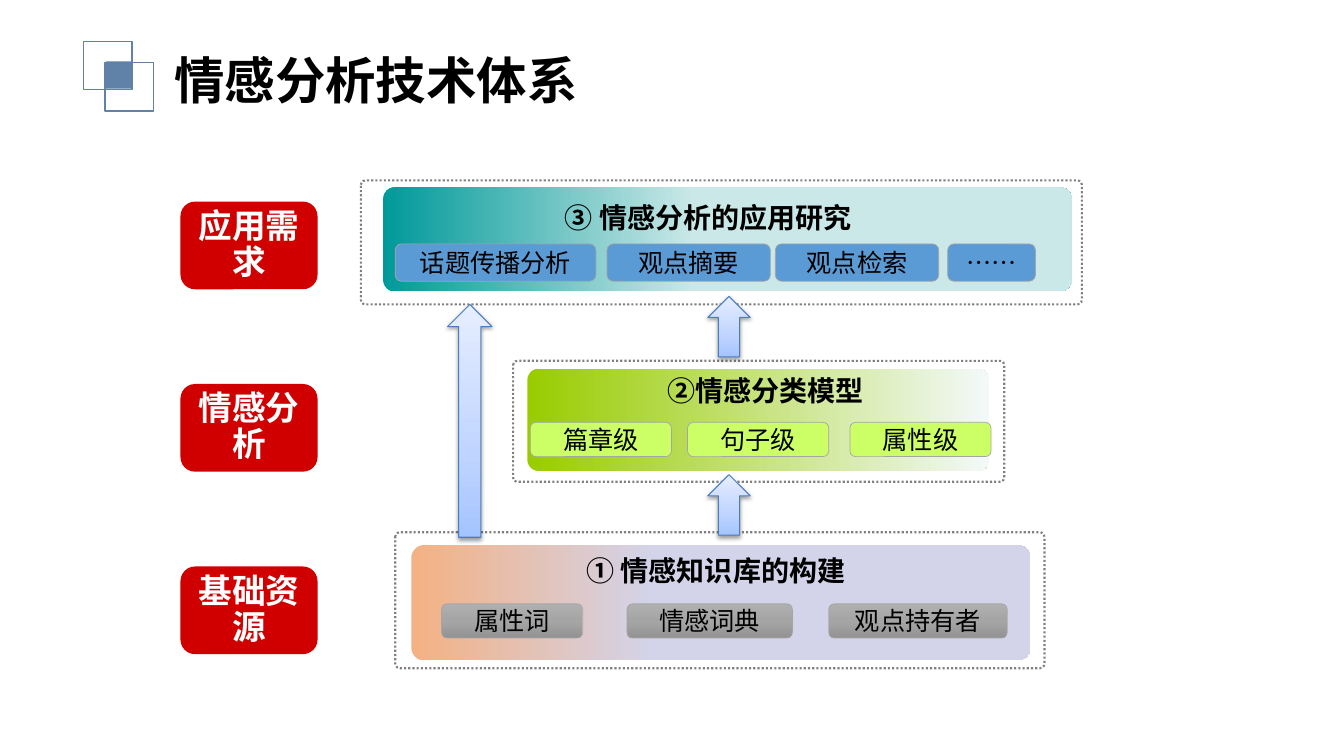
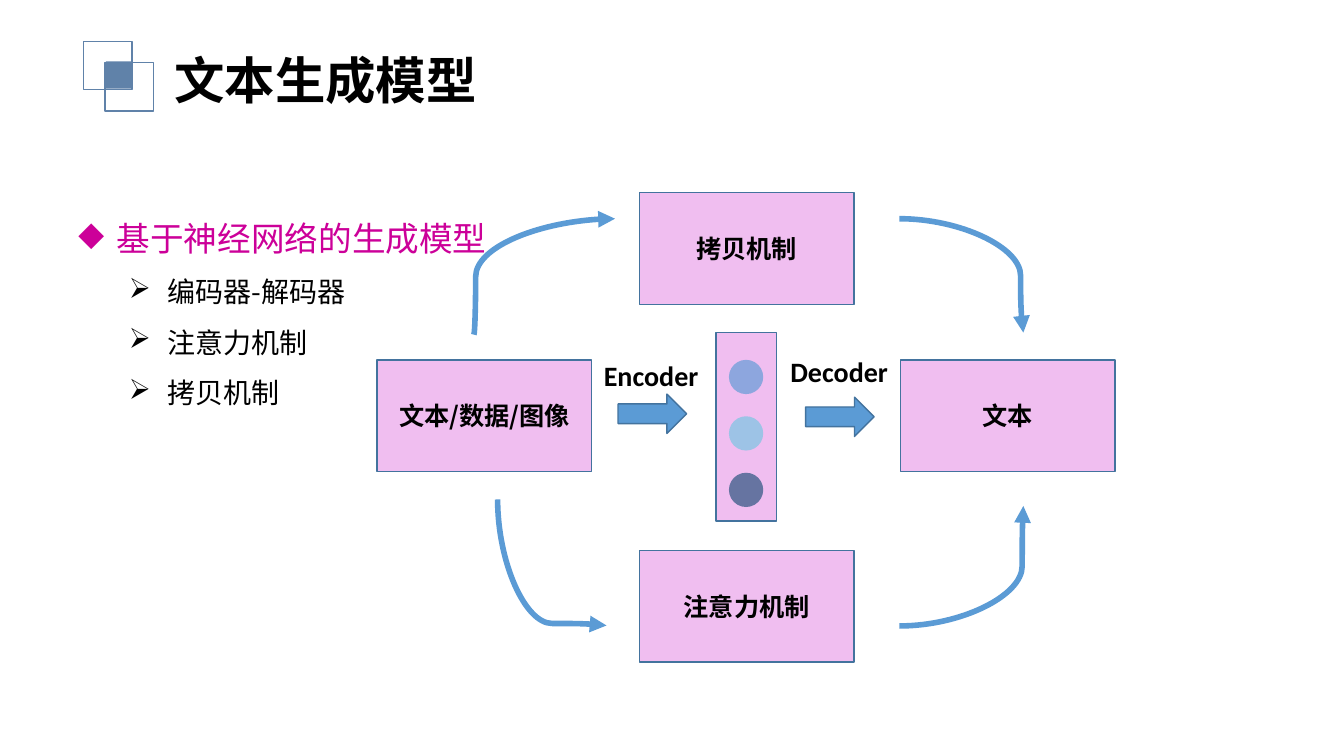
from typing import NamedTuple, Optional, Union

from lxml.etree import SubElement
from pptx import Presentation
from pptx.dml.color import RGBColor
from pptx.enum.dml import MSO_LINE
from pptx.enum.shapes import MSO_CONNECTOR, MSO_SHAPE
from pptx.enum.text import MSO_ANCHOR, PP_ALIGN
from pptx.oxml.ns import qn
from pptx.util import Inches, Pt

# Shared style
CJK = "Noto Sans CJK SC"
BLACK, WHITE, MARK = "000000", "FFFFFF", "6082A9"
RED, BLUE, EDGE, GRAY = "D00000", "5B9BD5", "43739E", "A5A5A5"
PINK, ROSE = "E488E4", "CC0099"


class Grad(NamedTuple):
    stops: tuple[tuple[int, str], ...]
    angle: int = 0


class Style(NamedTuple):
    size: float = 18
    color: str = BLACK
    bold: bool = False
    font: str = CJK


class Box(NamedTuple):
    x: float
    y: float
    w: float
    h: float


class Chip(NamedTuple):
    x: float
    w: float
    text: str


class Band(NamedTuple):
    frame: Box
    body: Box
    head: Box
    title: str
    fill: Grad
    paint: Union[str, Grad]
    top: float
    high: float
    chips: tuple[Chip, ...]


class Curve(NamedTuple):
    start: tuple[float, float]
    end: tuple[float, float]
    bend: int
    turn: int = 0


HEAD = Style(20, bold=True)
SKY = Grad(((0, "A4C4FF"), (35, "BFD4FF"), (100, "E6EEFF")), 270)
STEEL = Grad(((0, "AFAFAF"), (50, GRAY), (100, "939393")), 90)

BANDS = (
    Band(Box(3.58, 1.79, 7.15, 1.23), Box(3.8, 1.86, 6.83, 1.03),
         Box(3.44, 1.94, 7.17, 0.44), "③ 情感分析的应用研究",
         Grad(((0, "009999"), (45, "C9E8E7"))), BLUE, 2.42, 0.37,
         (Chip(3.92, 1.99, "话题传播分析"), Chip(6.02, 1.62, "观点摘要"),
          Chip(7.69, 1.62, "观点检索"), Chip(9.4, 0.87, "……"))),
    Band(Box(5.09, 3.58, 4.87, 1.2), Box(5.23, 3.66, 4.58, 1.01),
         Box(5.23, 3.66, 4.73, 0.44), "②情感分类模型",
         Grad(((0, "99CC00"), (100, "F3F9F9"))), "CCFF66", 4.19, 0.34,
         (Chip(5.26, 1.4, "篇章级"), Chip(6.82, 1.4, "句子级"),
          Chip(8.43, 1.4, "属性级"))),
    Band(Box(3.92, 5.28, 6.44, 1.35), Box(4.08, 5.41, 6.14, 1.14),
         Box(3.94, 5.44, 6.32, 0.44), "① 情感知识库的构建",
         Grad(((0, "F4B183"), (39, "D3D3E9"))), STEEL, 5.99, 0.34,
         (Chip(4.38, 1.4, "属性词"), Chip(6.22, 1.64, "情感词典"),
          Chip(8.22, 1.77, "观点持有者"))),
)
RISES = (Box(4.44, 3.02, 0.44, 2.31), Box(7.02, 2.94, 0.42, 0.6),
         Box(7.02, 4.71, 0.42, 0.6))
CURVES = (
    Curve((4.7, 3.32), (6.1, 2.17), 1300),
    Curve((8.92, 2.17), (10.15, 3.3), 97800),
    Curve((6.1, 5.04), (4.85, 6.12), 98400, 270),
    Curve((8.92, 6.21), (10.15, 5.02), 99100),
)


# Helpers
def tint(code: str) -> RGBColor:
    return RGBColor.from_string(code)


def place(box: Box) -> tuple:
    return tuple(Inches(v) for v in box)


def blend(shape, grad: Grad) -> None:
    shape.fill.background()
    props = shape.element.spPr
    blank = props.find(qn("a:noFill"))
    node = props.makeelement(qn("a:gradFill"), {"rotWithShape": "1"})
    stops = SubElement(node, qn("a:gsLst"))
    for pos, code in grad.stops:
        stop = SubElement(stops, qn("a:gs"), pos=str(pos * 1000))
        SubElement(stop, qn("a:srgbClr"), val=code)
    SubElement(node, qn("a:lin"), ang=str(grad.angle * 60000), scaled="0")
    props.replace(blank, node)


def draw(slide, kind, box: Box, fill: Union[str, Grad, None] = None,
         line: Optional[str] = None, width: float = 1,
         alpha: int = 100, curve: Optional[float] = None):
    shape = slide.shapes.add_shape(kind, *place(box))
    shape.shadow.inherit = False
    if curve is not None:
        shape.adjustments[0] = curve
    if fill is None:
        shape.fill.background()
    elif isinstance(fill, Grad):
        blend(shape, fill)
    else:
        shape.fill.solid()
        shape.fill.fore_color.rgb = tint(fill)
        if alpha < 100:
            color = shape.element.spPr.find(qn("a:solidFill"))[0]
            SubElement(color, qn("a:alpha"), val=str(alpha * 1000))
    if line:
        shape.line.color.rgb = tint(line)
        shape.line.width = Pt(width)
    else:
        shape.line.fill.background()
    return shape


def add_run(para, text: str, style: Style) -> None:
    run = para.add_run()
    run.text = text
    run.font.size = Pt(style.size)
    run.font.bold = style.bold
    run.font.color.rgb = tint(style.color)
    run.font.name = style.font
    SubElement(run.font._element, qn("a:ea"), typeface=style.font)


def label(shape, text: str, style: Style) -> None:
    frame = shape.text_frame
    frame.word_wrap = True
    frame.vertical_anchor = MSO_ANCHOR.MIDDLE
    frame.paragraphs[0].alignment = PP_ALIGN.CENTER
    add_run(frame.paragraphs[0], text, style)


def write(slide, box: Box, text: str, style: Style,
          align=PP_ALIGN.LEFT, wrap: bool = True) -> None:
    frame = slide.shapes.add_textbox(*place(box)).text_frame
    frame.word_wrap = wrap
    frame.paragraphs[0].alignment = align
    add_run(frame.paragraphs[0], text, style)


def bullet(para, sign: str, left: float) -> None:
    props = para._p.get_or_add_pPr()
    props.set("marL", str(Inches(left)))
    props.set("indent", str(-Inches(0.38)))
    SubElement(props, qn("a:buChar"), char=sign)
    para.line_spacing = 1.5


def link(slide, curve: Curve) -> None:
    ends = [Inches(v) for v in curve.start + curve.end]
    line = slide.shapes.add_connector(MSO_CONNECTOR.CURVE, *ends)
    line.line.color.rgb = tint(BLUE)
    line.line.width = Pt(4)
    props = line.element.spPr
    SubElement(props.find(qn("a:ln")), qn("a:tailEnd"), type="triangle")
    SubElement(props, qn("a:effectLst"))
    if curve.turn:
        props.find(qn("a:xfrm")).set("rot", str(curve.turn * 60000))
    guides = props.find(qn("a:prstGeom")).find(qn("a:avLst"))
    SubElement(guides, qn("a:gd"), name="adj1", fmla=f"val {curve.bend}")


# Shared parts
def brand(deck, slide) -> None:
    """Draw the corner squares and move them to the master."""
    squares = ((Box(0.83, 0.41, 0.48, 0.48), None, MARK),
               (Box(1.04, 0.62, 0.48, 0.48), None, MARK),
               (Box(1.05, 0.61, 0.25, 0.27), MARK, None))
    for num, (box, fill, line) in enumerate(squares, 101):
        shape = draw(slide, MSO_SHAPE.RECTANGLE, box, fill, line)
        shape.element.nvSpPr.cNvPr.set("id", str(num))
        deck.slide_master.shapes.element.append(shape.element)


def title(slide, text: str) -> None:
    write(slide, Box(1.63, 0.44, 9.91, 0.71), text, Style(36, bold=True))


# Slide 1: layers
def layers(slide) -> None:
    title(slide, "情感分析技术体系")
    round_box = MSO_SHAPE.ROUNDED_RECTANGLE
    for band in BANDS:
        frame = draw(slide, round_box, band.frame, WHITE, "808080", 1.5,
                     curve=0.035)
        frame.line.dash_style = MSO_LINE.ROUND_DOT
        draw(slide, round_box, band.body, band.fill, curve=0.109)
        write(slide, band.head, band.title, HEAD, PP_ALIGN.CENTER)
        for chip in band.chips:
            box = Box(chip.x, band.top, chip.w, band.high)
            shape = draw(slide, round_box, box, band.paint, GRAY, 0.5)
            label(shape, chip.text, Style())

    # Row names
    for row, text in enumerate(("应用需求", "情感分析", "基础资源")):
        shape = draw(slide, round_box, Box(1.79, 2 + 1.81 * row, 1.36, 0.87),
                     RED)
        label(shape, text, Style(24, WHITE, True))
        frame = shape.text_frame
        frame.margin_left = frame.margin_right = Inches(0.12)
        frame.paragraphs[0].line_spacing = 0.9

    # Up arrows
    for box in RISES:
        shape = draw(slide, MSO_SHAPE.UP_ARROW, box, SKY, "4B7EBC", 0.75)
        glow = SubElement(shape.element.spPr.find(qn("a:effectLst")),
                          qn("a:outerShdw"), blurRad=str(Pt(3.1)),
                          dist=str(Pt(1.6)), dir="5400000", rotWithShape="0")
        color = SubElement(glow, qn("a:srgbClr"), val=BLACK)
        SubElement(color, qn("a:alpha"), val="38000")


# Slide 2: model
def model(slide) -> None:
    title(slide, "文本生成模型")
    frame = slide.shapes.add_textbox(
        *place(Box(0.68, 1.91, 5.19, 2.22))).text_frame
    frame.word_wrap = True
    main = frame.paragraphs[0]
    bullet(main, "◆", 0.38)
    add_run(main, "基于神经网络的生成模型", Style(24, ROSE))
    for text in ("编码器-解码器", "注意力机制", "拷贝机制"):
        para = frame.add_paragraph()
        para.level = 1
        bullet(para, "➢", 0.88)
        add_run(para, text, Style(20))

    # Boxes
    for x, y, text in ((3.74, 3.57, "文本/数据/图像"), (8.93, 3.57, "文本"),
                       (6.34, 5.46, "注意力机制"), (6.34, 1.91, "拷贝机制")):
        shape = draw(slide, MSO_SHAPE.RECTANGLE, Box(x, y, 2.13, 1.11),
                     PINK, EDGE, alpha=54)
        label(shape, text, Style(bold=True))

    # Hidden state
    draw(slide, MSO_SHAPE.RECTANGLE, Box(7.1, 3.3, 0.6, 1.87), PINK, EDGE,
         alpha=54)
    dots = ((BLUE, 66), ("9DC3E6", 100), ("1F4E79", 66))
    for row, (fill, alpha) in enumerate(dots):
        draw(slide, MSO_SHAPE.OVAL, Box(7.23, 3.57 + 0.56 * row, 0.34, 0.34),
             fill, alpha=alpha)

    # Steps
    for x, y, box, text in (
            (6.13, 3.91, Box(5.89, 3.51, 1.15, 0.44), "Encoder"),
            (7.99, 3.94, Box(7.74, 3.47, 1.18, 0.44), "Decoder")):
        draw(slide, MSO_SHAPE.RIGHT_ARROW, Box(x, y, 0.68, 0.39), BLUE, EDGE)
        write(slide, box, text, HEAD._replace(font="Calibri"), wrap=False)
    for curve in CURVES:
        link(slide, curve)


def main() -> None:
    deck = Presentation()
    deck.slide_width, deck.slide_height = Inches(13.33), Inches(7.5)
    first, second = (deck.slides.add_slide(deck.slide_layouts[6])
                     for _ in range(2))
    brand(deck, first)
    layers(first)
    model(second)
    deck.save("out.pptx")


if __name__ == "__main__":
    main()
